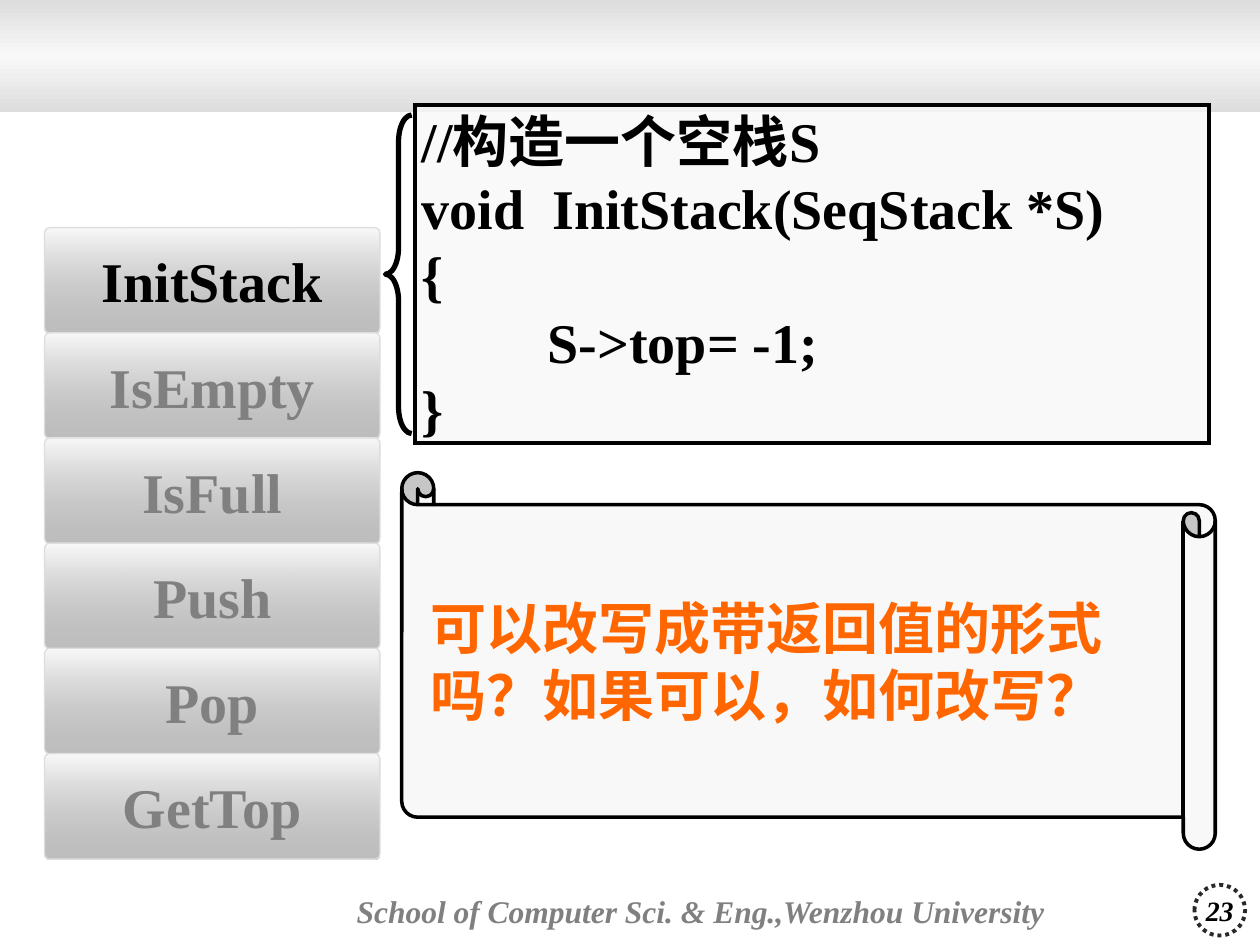
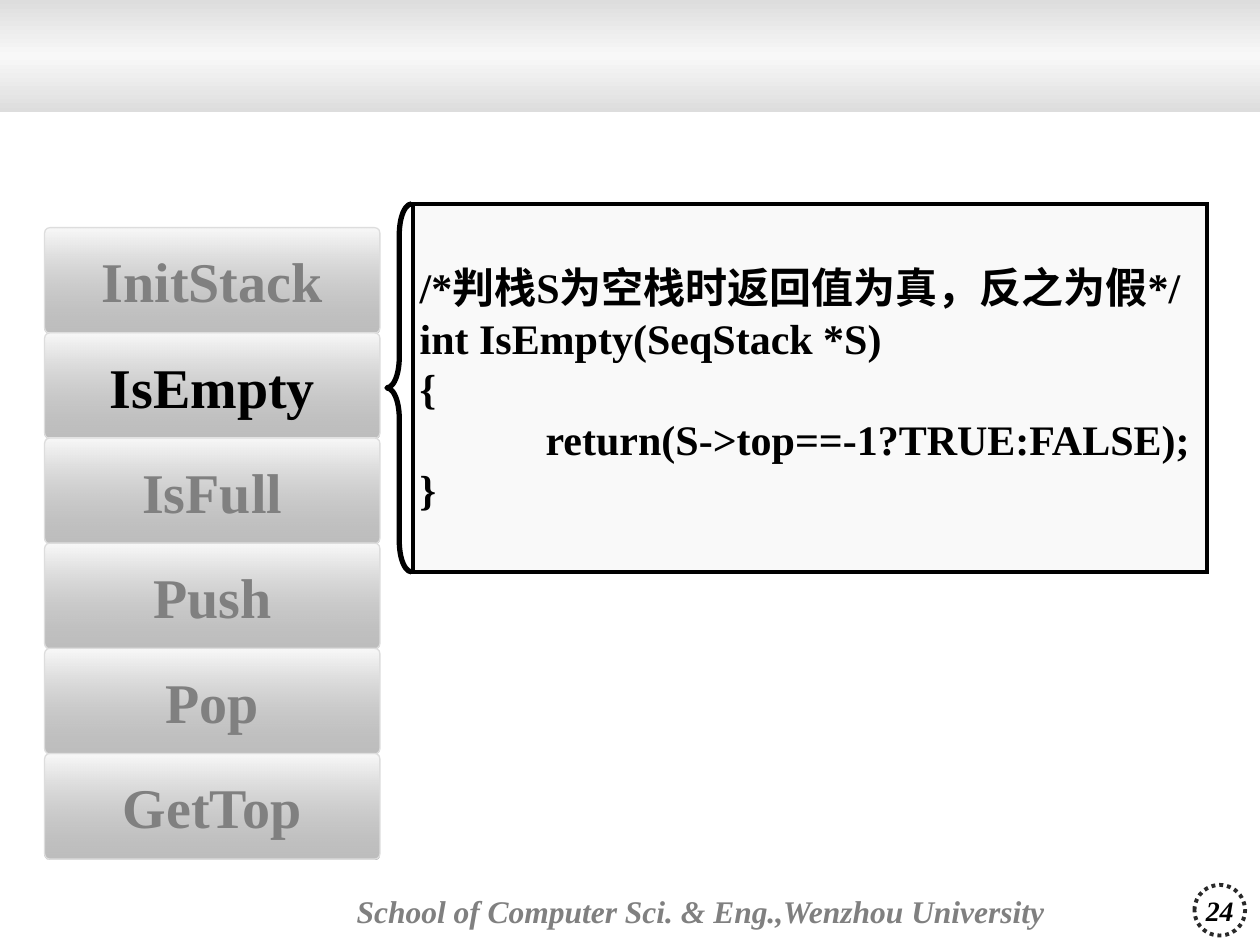
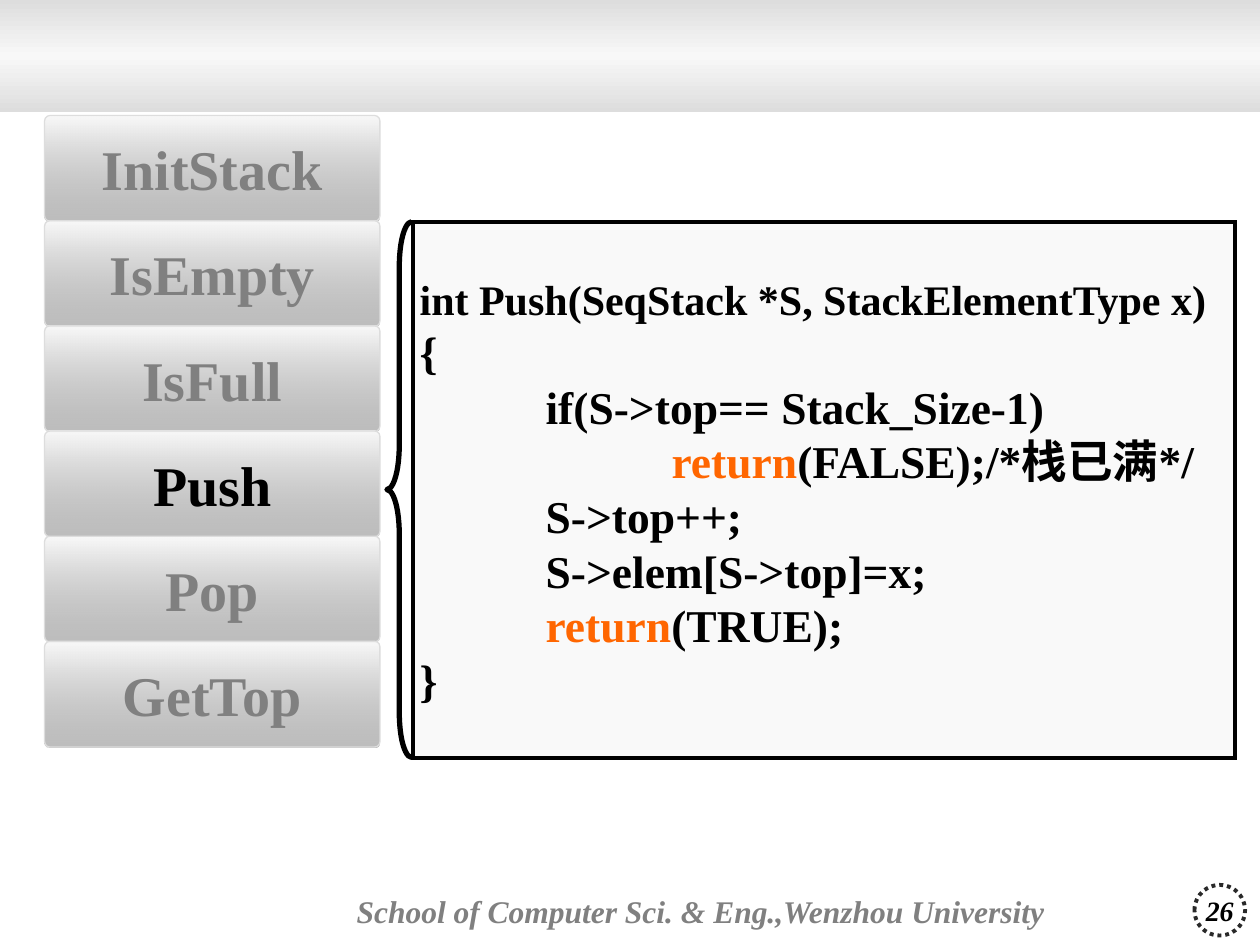
from dataclasses import dataclass

from lxml.etree import SubElement
from pptx import Presentation
from pptx.dml.color import RGBColor
from pptx.enum.dml import MSO_LINE
from pptx.enum.shapes import MSO_SHAPE as SHAPE
from pptx.enum.text import MSO_ANCHOR as ANCHOR, PP_ALIGN as ALIGN
from pptx.oxml.ns import qn
from pptx.util import Cm, Pt


@dataclass(frozen=True)
class Theme:
    font: str = "Times New Roman"
    ink: str = "000000"
    muted: str = "808080"
    accent: str = "FF6600"
    paper: str = "F8F8F8"
    edge: str = "DDDDDD"
    ring: str = "292929"
    # Gradient stops: position %, colour, opacity %
    band: tuple = ((0, "DDDDDD", 100), (50, "F8F8F8", 100), (100, "DDDDDD", 100))
    button: tuple = ((0, "F8F8F8", 84), (100, "727272", 46))
    large: int = 32
    code: int = 26
    small_code: int = 24
    footer: int = 18
    page: int = 16


THEME = Theme()
OPERATIONS = ("InitStack", "IsEmpty", "IsFull", "Push", "Pop", "GetTop")
TIGHT = (0.13, 0.05)
ROOMY = (0.25, 0.13)
BRACE_RIGHT = 8.3
RETURN = ("return", {"color": THEME.accent})

INIT_STACK = ("//构造一个空栈S", "void  InitStack(SeqStack *S)", "{", "\tS->top= -1;", "}")
IS_EMPTY = (
    "/*判栈S为空栈时返回值为真，反之为假*/ int IsEmpty(SeqStack *S)",
    "{",
    "\treturn(S->top==-1?TRUE:FALSE);",
    "}",
)
PUSH = (
    [("int Push(SeqStack *S, StackElementType x)", {"size": THEME.small_code})],
    "{",
    "\tif(S->top== Stack_Size-1)",
    [("\t\t", {}), RETURN, ("(FALSE);/*栈已满*/", {})],
    "\tS->top++;",
    "\tS->elem[S->top]=x;",
    [("\t", {}), RETURN, ("(TRUE);", {})],
    "}",
)


# Formatting
def set_opacity(color, percent):
    SubElement(color, qn("a:alpha")).set("val", str(percent * 1000))


def set_gradient(shape, stops):
    """Fill from top to bottom."""
    shape.fill.gradient()
    shape.fill.gradient_angle = 270
    stop_list = shape._element.spPr.find(qn("a:gradFill")).find(qn("a:gsLst"))
    for default_stop in list(stop_list):
        stop_list.remove(default_stop)
    for position, value, opacity in stops:
        stop = SubElement(stop_list, qn("a:gs"), pos=str(position * 1000))
        color = SubElement(stop, qn("a:srgbClr"), val=value)
        if opacity < 100:
            set_opacity(color, opacity)


def add_tab_stops(paragraph):
    """Tab stops one inch apart."""
    tabs = SubElement(paragraph._p.get_or_add_pPr(), qn("a:tabLst"))
    for step in range(1, 8):
        SubElement(tabs, qn("a:tab"), pos=str(Cm(2.54 * step)), algn="l")


def set_text(shape, lines, size, color=THEME.ink, italic=False,
             align=ALIGN.LEFT, insets=TIGHT, wrap=True, tabs=False):
    """Each line is a string or a list of (text, overrides) runs."""
    frame = shape.text_frame
    frame.word_wrap = wrap
    frame.vertical_anchor = ANCHOR.MIDDLE
    frame.margin_left = frame.margin_right = Cm(insets[0])
    frame.margin_top = frame.margin_bottom = Cm(insets[1])
    for index, line in enumerate(lines):
        paragraph = frame.add_paragraph() if index else frame.paragraphs[0]
        paragraph.alignment = align
        # Keep punctuation inside the text area
        paragraph._p.get_or_add_pPr().set("hangingPunct", "0")
        if tabs:
            add_tab_stops(paragraph)
        for text, changes in [(line, {})] if isinstance(line, str) else line:
            run = paragraph.add_run()
            run.text = text
            run.font.name = THEME.font
            run.font.size = Pt(changes.get("size", size))
            run.font.bold = True
            run.font.italic = italic
            run.font.color.rgb = RGBColor.from_string(changes.get("color", color))


def add_box(slide, kind, bounds, fill=None, line=None, weight=1, adjust=None):
    box = slide.shapes.add_shape(kind, *map(Cm, bounds))
    box.shadow.inherit = False
    if adjust is not None:
        box.adjustments[0] = adjust
    if isinstance(fill, tuple):
        set_gradient(box, fill)
    elif fill:
        box.fill.solid()
        box.fill.fore_color.rgb = RGBColor.from_string(fill)
    else:
        box.fill.background()
    if line:
        box.line.color.rgb = RGBColor.from_string(line)
        box.line.width = Pt(weight)
    else:
        box.line.fill.background()
    return box


# Parts of a slide
def add_frame(slide, number):
    """Top band, school line and page badge."""
    add_box(slide, SHAPE.RECTANGLE, (0, 0, 25.4, 2.26), fill=THEME.band)
    school = add_box(slide, SHAPE.ROUNDED_RECTANGLE, (7.05, 17.53, 15.21, 1.68), adjust=0.02)
    set_text(school, ["School of Computer Sci. & Eng.,Wenzhou University"],
             THEME.footer, color=THEME.muted, italic=True)
    badge = add_box(slide, SHAPE.OVAL, (24.08, 17.84, 1.02, 1.02), line=THEME.ring, weight=2.25)
    badge.line.dash_style = MSO_LINE.ROUND_DOT
    set_text(badge, [str(number)], THEME.page, italic=True,
             align=ALIGN.CENTER, insets=ROOMY, wrap=False)


def add_code(slide, bounds, lines, size):
    code = add_box(slide, SHAPE.ROUNDED_RECTANGLE, bounds, fill=THEME.paper,
                   line=THEME.ink, weight=2.25, adjust=0)
    properties = code._element.spPr
    set_opacity(next(properties.iter(qn("a:srgbClr"))), 78)
    # Sharp corners
    SubElement(properties.find(qn("a:ln")), qn("a:miter"), lim="800000")
    set_text(code, lines, size, tabs=True)


def add_brace(slide, top, height, width=0.5):
    add_box(slide, SHAPE.LEFT_BRACE, (BRACE_RIGHT - width, top, width, height),
            line=THEME.ink, weight=3, adjust=height / 12 / width)


def add_menu(slide, active, top=4.59):
    for row, operation in enumerate(OPERATIONS):
        button = add_box(slide, SHAPE.ROUNDED_RECTANGLE, (0.9, top + 2.12 * row, 6.76, 2.13),
                         fill=THEME.button, line=THEME.edge, weight=0.75, adjust=0.05)
        set_text(button, [operation], THEME.large, align=ALIGN.CENTER,
                 color=THEME.ink if operation == active else THEME.muted)


def add_question(slide, question):
    scroll = add_box(slide, SHAPE.HORIZONTAL_SCROLL, (8.1, 9.53, 16.4, 7.59),
                     fill=THEME.paper, line=THEME.ink, weight=2, adjust=0.085)
    scroll._element.spPr.xfrm.set("flipH", "1")
    set_text(scroll, [question], THEME.large, color=THEME.accent, insets=ROOMY)


def main():
    deck = Presentation()
    deck.slide_width, deck.slide_height = Cm(25.4), Cm(19.05)

    def new_slide(number):
        slide = deck.slides.add_slide(deck.slide_layouts[6])
        add_frame(slide, number)
        return slide

    # InitStack
    init_stack = new_slide(23)
    add_code(init_stack, (8.37, 2.12, 16, 6.81), INIT_STACK, THEME.large)
    add_brace(init_stack, 2.32, 6.42, width=0.53)
    add_menu(init_stack, "InitStack")
    add_question(init_stack, "可以改写成带返回值的形式吗？如果可以，如何改写？")

    # IsEmpty
    is_empty = new_slide(24)
    add_code(is_empty, (8.33, 4.11, 16, 7.42), IS_EMPTY, THEME.small_code)
    add_brace(is_empty, 4.11, 7.42)
    add_menu(is_empty, "IsEmpty")

    # Push
    push = new_slide(26)
    add_code(push, (8.33, 4.47, 16.56, 10.82), PUSH, THEME.code)
    add_brace(push, 4.47, 10.8)
    add_menu(push, "Push", top=2.33)

    deck.save("out.pptx")


if __name__ == "__main__":
    main()
